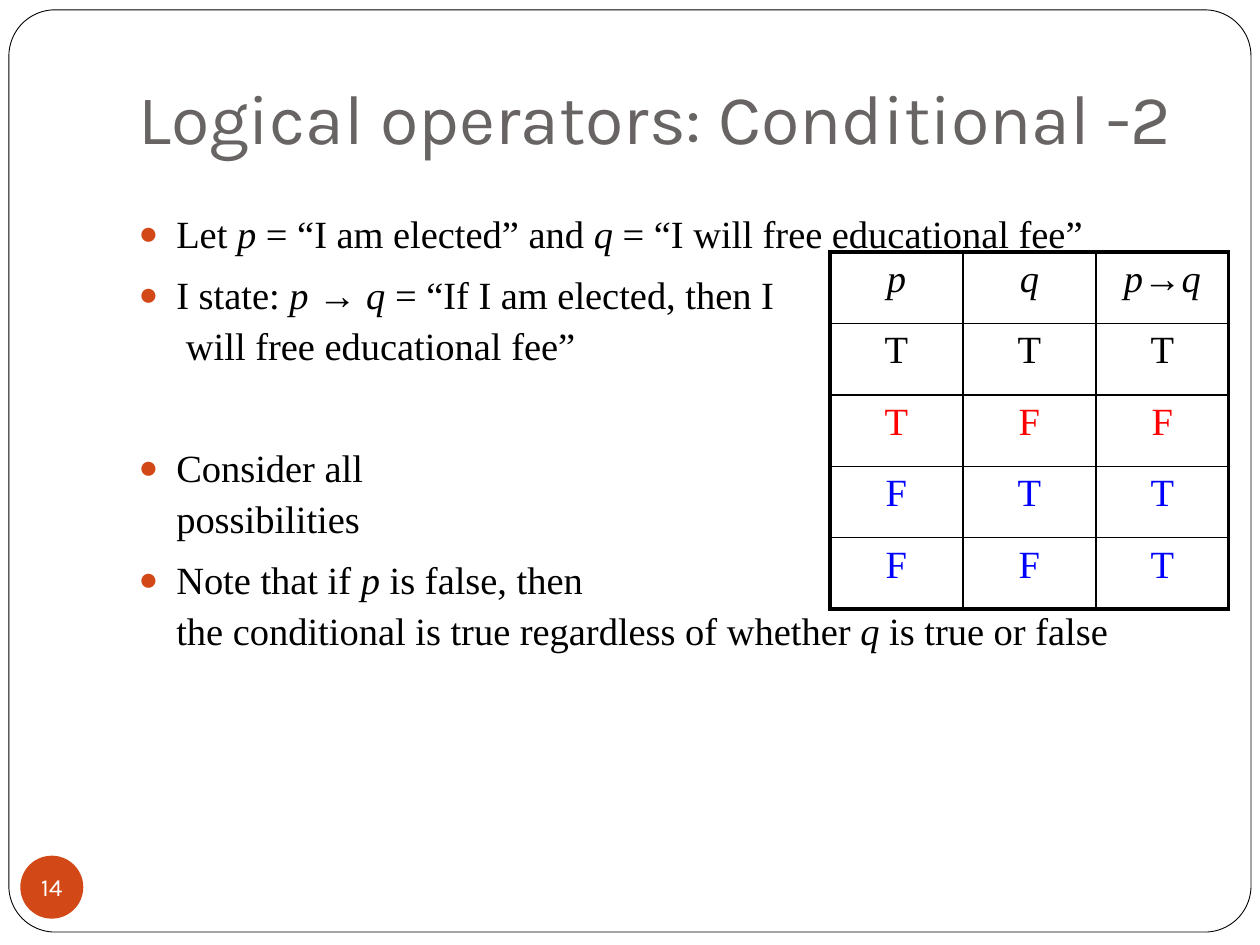
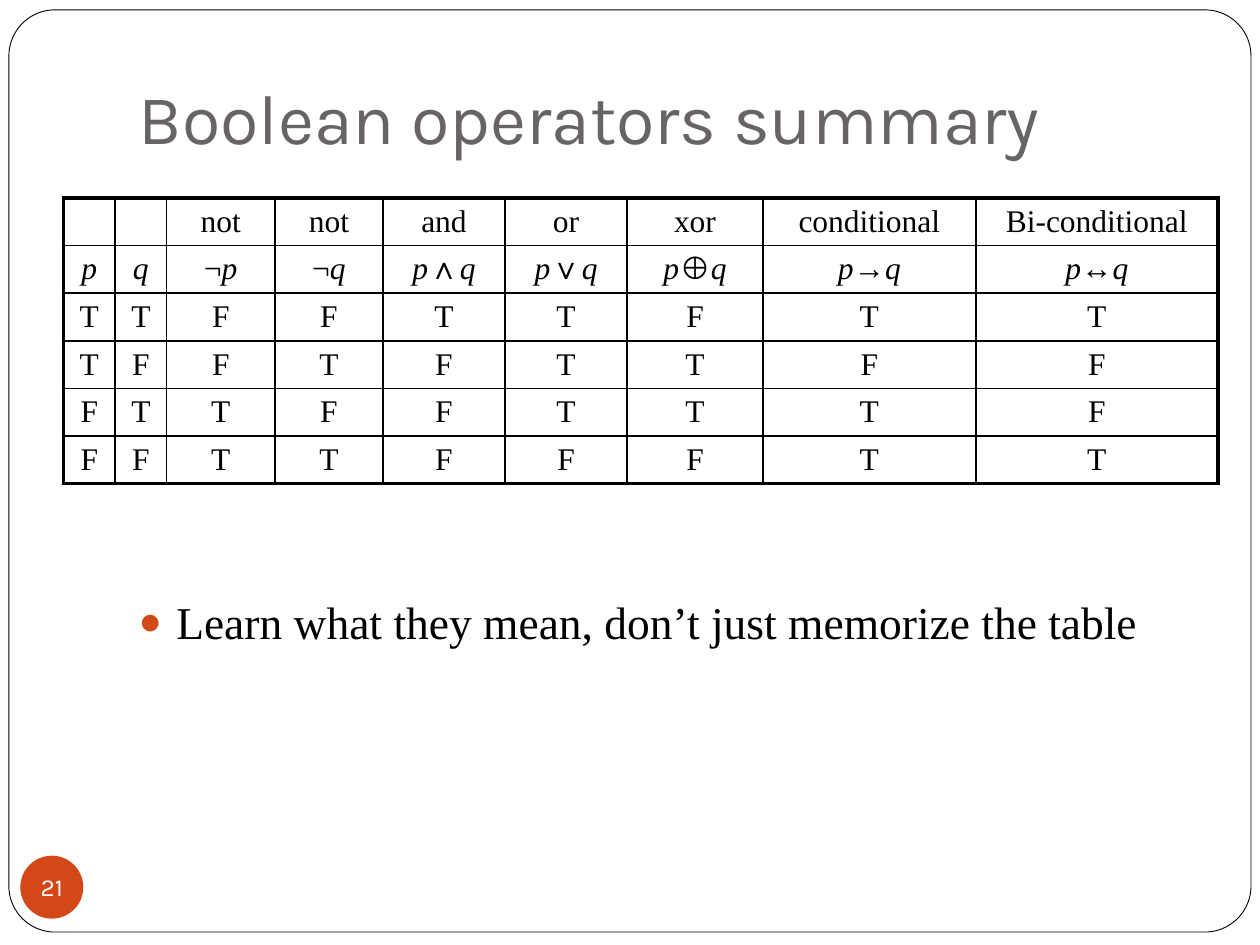
from lxml import etree
from pptx import Presentation
from pptx import util as u
from pptx.dml import color
from pptx.enum import shapes, text
from pptx.oxml import ns

hues = {"ink": "000000", "paper": "FFFFFF", "title": "696464",
        "accent": "D34817", "red": "FF0000", "blue": "0000FF"}
rgb = {name: color.RGBColor.from_string(code) for name, code in hues.items()}
serif, sans = "Times New Roman", "Karla"


def write(para, words, size, hue="ink", face=serif):
    for i, part in enumerate(words.split("*")):
        for j, line in enumerate(part.split("\n")):
            if j:
                para.add_line_break()
            if line:
                run = para.add_run()
                run.text = line
                run.font.size = u.Pt(size)
                run.font.name = face
                run.font.italic = i % 2 == 1
                run.font.color.rgb = rgb[hue]
    for br in para._p.findall(ns.qn("a:br")):
        etree.SubElement(br, ns.qn("a:rPr"), sz=str(size * 100))


def edge(cell, side, width):
    props = cell._tc.get_or_add_tcPr()
    line = etree.SubElement(props, ns.qn("a:ln" + side), w=str(u.Pt(width)))
    fill = etree.SubElement(line, ns.qn("a:solidFill"))
    etree.SubElement(fill, ns.qn("a:srgbClr"), val=hues["ink"])


pages = [
    {"title": "Logical operators: Conditional -2", "page": "14",
     "size": 22, "lead": 1.1, "inset": 0.13,
     "list": [
         ("Let *p* = “I am elected” and *q* = “I will free educational fee”", 0),
         ("I state: *p *→ *q* = “If I am elected, then I \n will free educational fee”", 5.8),
         ("Consider all \npossibilities", 41),
         ("Note that if *p* is false, then \nthe conditional is true regardless "
          "of whether *q* is true or false", 5.8)],
     "at": (16.73, 5.08), "cols": [2.68] * 3, "row": 1.44, "font": 22,
     "hues": ["ink", "ink", "red", "blue", "blue"],
     "rows": [["*p*", "*q*", "*p*→*q*"], "TTT", "TFF", "FTT", "FFT"]},
    {"title": "Boolean operators summary", "page": "21",
     "size": 26, "lead": 1, "inset": 7.97,
     "list": [("Learn what they mean, don’t just memorize the table", 0)],
     "at": (1.28, 3.99), "row": 0.96, "font": 18,
     "cols": [1.04, 1.04, 2.18, 2.18, 2.46, 2.46, 2.74, 4.29, 4.88],
     "hues": ["ink"] * 6,
     "rows": [["", "", "not", "not", "and", "or", "xor", "conditional", "Bi-conditional"],
              ["*p*", "*q*", "¬*p*", "¬*q*", "*p*∧*q*", "*p*∨*q*", "*p*⊕*q*",
               "*p*→*q*", "*p*↔*q*"],
              "TTFFTTFTT", "TFFTFTTFF", "FTTFFTTTF", "FFTTFFFTT"]},
]

deck = Presentation()
deck.slide_width, deck.slide_height = u.Cm(25.4), u.Cm(19.05)
base = deck.slide_layouts[1]
for hold, top, high in zip(base.placeholders, (0.76, 4.01), (3.18, 12.7)):
    hold.left, hold.top = u.Cm(2.54), u.Cm(top)
    hold.width, hold.height = u.Cm(21.59), u.Cm(high)

for n, page in enumerate(pages):
    slide = deck.slides.add_slide(base)
    if n == 0:
        frame = slide.shapes.add_shape(shapes.MSO_SHAPE.ROUNDED_RECTANGLE, u.Cm(0.18),
                                       u.Cm(0.2), u.Cm(25.04), u.Cm(18.59))
        frame.adjustments[0] = 0.05
        frame.shadow.inherit = False
        frame.fill.solid()
        frame.fill.fore_color.rgb = rgb["paper"]
        frame.line.color.rgb = rgb["ink"]
        frame.line.width = u.Pt(0.5)
        base.shapes.element.insert(2, frame.element)

    head = slide.shapes.title.text_frame
    head.auto_size = text.MSO_AUTO_SIZE.NONE
    head.vertical_anchor = text.MSO_ANCHOR.MIDDLE
    head.paragraphs[0].alignment = text.PP_ALIGN.LEFT
    write(head.paragraphs[0], page["title"], 40, "title", sans)

    body = slide.placeholders[1].text_frame
    body.auto_size = text.MSO_AUTO_SIZE.NONE
    body.margin_top = u.Cm(page["inset"])
    for i, (words, gap) in enumerate(page["list"]):
        para = body.add_paragraph() if i else body.paragraphs[0]
        props = para._p.get_or_add_pPr()
        props.set("marL", str(u.Cm(0.76)))
        props.set("indent", str(-u.Cm(0.76)))
        tint = etree.SubElement(props, ns.qn("a:buClr"))
        etree.SubElement(tint, ns.qn("a:srgbClr"), val=hues["accent"])
        etree.SubElement(props, ns.qn("a:buSzPct"), val="85000")
        etree.SubElement(props, ns.qn("a:buChar"), char="●")
        para.line_spacing = page["lead"]
        para.space_before = u.Pt(gap)
        write(para, words, page["size"])

    rows, cols = page["rows"], page["cols"]
    left, top = page["at"]
    grid = slide.shapes.add_table(len(rows), len(cols), u.Cm(left), u.Cm(top),
                                  u.Cm(sum(cols)), u.Cm(page["row"] * len(rows))).table
    grid.first_row = grid.horz_banding = False
    for col, wide in zip(grid.columns, cols):
        col.width = u.Cm(wide)
    for r, row in enumerate(rows):
        grid.rows[r].height = u.Cm(page["row"])
        for c, words in enumerate(row):
            cell = grid.cell(r, c)
            outer = {"L": c == 0, "R": c == len(cols) - 1,
                     "T": r == 0, "B": r == len(rows) - 1}
            for side, thick in outer.items():
                edge(cell, side, 2.25 if thick else 1)
            cell.fill.background()
            para = cell.text_frame.paragraphs[0]
            para.alignment = text.PP_ALIGN.CENTER
            write(para, words, page["font"], page["hues"][r])
            if not words:
                etree.SubElement(para._p, ns.qn("a:endParaRPr"), sz="1200")

    badge = slide.shapes.add_shape(shapes.MSO_SHAPE.OVAL, u.Cm(0.41), u.Cm(17.25),
                                   u.Cm(1.27), u.Cm(1.27))
    badge.shadow.inherit = False
    badge.fill.solid()
    badge.fill.fore_color.rgb = rgb["accent"]
    badge.line.fill.background()
    label = badge.text_frame
    label.margin_left = label.margin_right = label.margin_top = label.margin_bottom = 0
    label.word_wrap = False
    label.vertical_anchor = text.MSO_ANCHOR.MIDDLE
    label.paragraphs[0].alignment = text.PP_ALIGN.CENTER
    write(label.paragraphs[0], page["page"], 14, "paper", sans)

deck.save("out.pptx")
